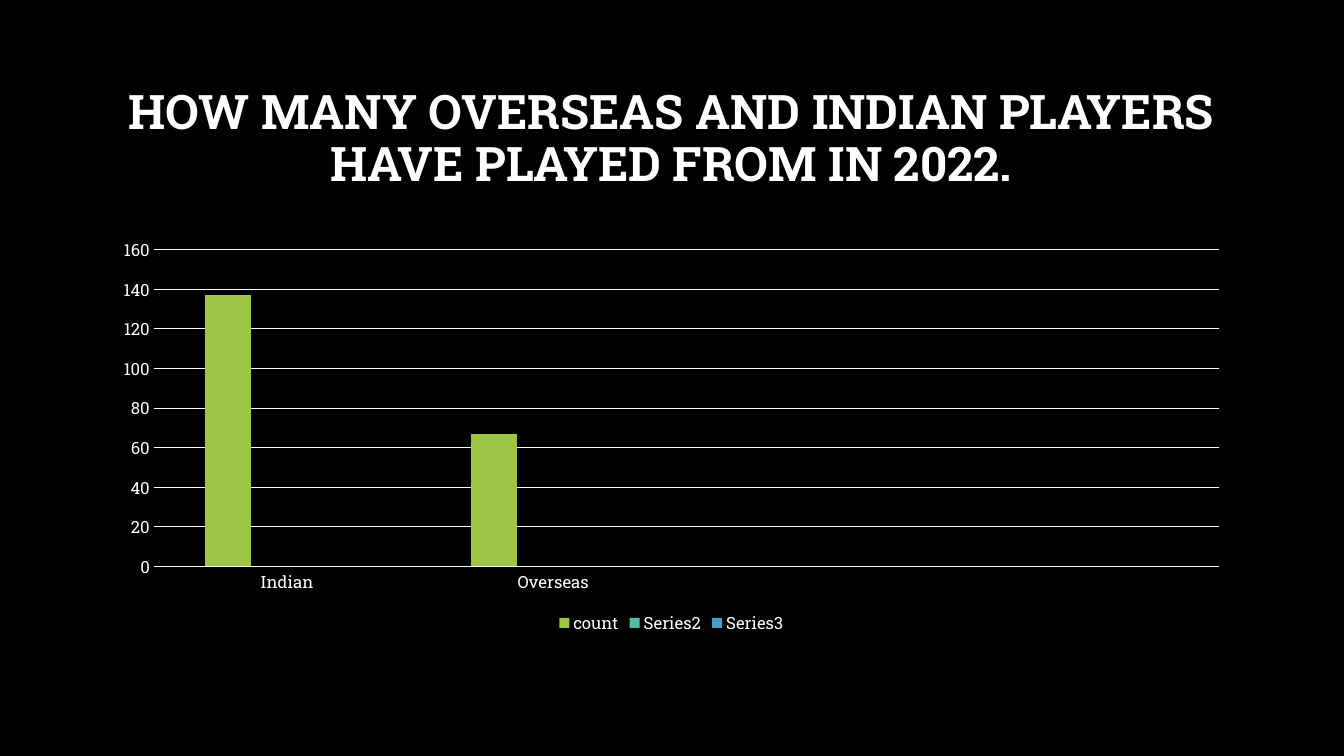
from dataclasses import dataclass

import pptx
import pptx.chart.data
import pptx.dml.color
import pptx.enum.chart
import pptx.enum.text
import pptx.util


@dataclass(frozen=True)
class Theme:
    font: str = "Roboto Slab"
    background: str = "000000"
    ink: str = "FFFFFF"
    series: tuple = ("9EC544", "50BEA3", "4A9CCC")
    title_size: int = 34
    chart_size: int = 12
    line_width: float = 0.75


THEME = Theme()
WIDTH = pptx.util.Inches(13.33)
HEIGHT = pptx.util.Inches(7.5)
LEFT = 0.075
SPAN = 0.849
TITLE_ROWS = (0.089, 0.193)
CHART_ROWS = (0.305, 0.539)


def color(code):
    return pptx.dml.color.RGBColor.from_string(code)


def area(rows):
    top, height = rows
    return [int(length) for length in
            (WIDTH * LEFT, HEIGHT * top, WIDTH * SPAN, HEIGHT * height)]


def style_font(font, size, bold=False):
    font.name = THEME.font
    font.size = pptx.util.Pt(size)
    font.bold = bold
    font.color.rgb = color(THEME.ink)


def style_line(line):
    line.color.rgb = color(THEME.ink)
    line.width = pptx.util.Pt(THEME.line_width)


def write_title(page, text):
    box = page.shapes.title
    box.left, box.top, box.width, box.height = area(TITLE_ROWS)
    frame = box.text_frame
    frame.word_wrap = True
    frame.auto_size = pptx.enum.text.MSO_AUTO_SIZE.NONE
    frame.vertical_anchor = pptx.enum.text.MSO_ANCHOR.MIDDLE
    para = frame.paragraphs[0]
    para.alignment = pptx.enum.text.PP_ALIGN.CENTER
    para.line_spacing = 0.9
    span = para.add_run()
    span.text = text
    style_font(span.font, THEME.title_size, bold=True)


def style_axes(chart):
    for axis in (chart.category_axis, chart.value_axis):
        axis.major_tick_mark = pptx.enum.chart.XL_TICK_MARK.NONE
        axis.minor_tick_mark = pptx.enum.chart.XL_TICK_MARK.NONE
        style_font(axis.tick_labels.font, THEME.chart_size)
    style_line(chart.category_axis.format.line)
    values = chart.value_axis
    values.minimum_scale, values.maximum_scale, values.major_unit = 0, 160, 20
    values.format.line.fill.background()
    values.has_major_gridlines = True
    style_line(values.major_gridlines.format.line)


def add_columns(page, categories, series):
    data = pptx.chart.data.CategoryChartData()
    data.categories = categories
    for name, counts in series:
        data.add_series(name, counts)
    kind = pptx.enum.chart.XL_CHART_TYPE.COLUMN_CLUSTERED
    chart = page.shapes.add_chart(kind, *area(CHART_ROWS), data).chart
    style_font(chart.font, THEME.chart_size)
    chart.has_title = False
    style_axes(chart)
    plot = chart.plots[0]
    plot.gap_width = 219
    plot.overlap = -27
    plot.vary_by_categories = False
    for column, code in zip(plot.series, THEME.series):
        column.format.fill.solid()
        column.format.fill.fore_color.rgb = color(code)
    chart.has_legend = True
    chart.legend.position = pptx.enum.chart.XL_LEGEND_POSITION.BOTTOM
    chart.legend.include_in_layout = False
    style_font(chart.legend.font, THEME.chart_size)


def main():
    deck = pptx.Presentation()
    deck.slide_width, deck.slide_height = WIDTH, HEIGHT
    page = deck.slides.add_slide(deck.slide_layouts[5])
    page.background.fill.solid()
    page.background.fill.fore_color.rgb = color(THEME.background)
    write_title(page, "HOW MANY OVERSEAS AND INDIAN PLAYERS HAVE PLAYED FROM IN 2022.")
    empty = [None] * 4
    add_columns(
        page,
        ["Indian", "Overseas", "", ""],
        [("count", [137, 67, None, None]), ("Series2", empty), ("Series3", empty)],
    )
    deck.save("out.pptx")


if __name__ == "__main__":
    main()
